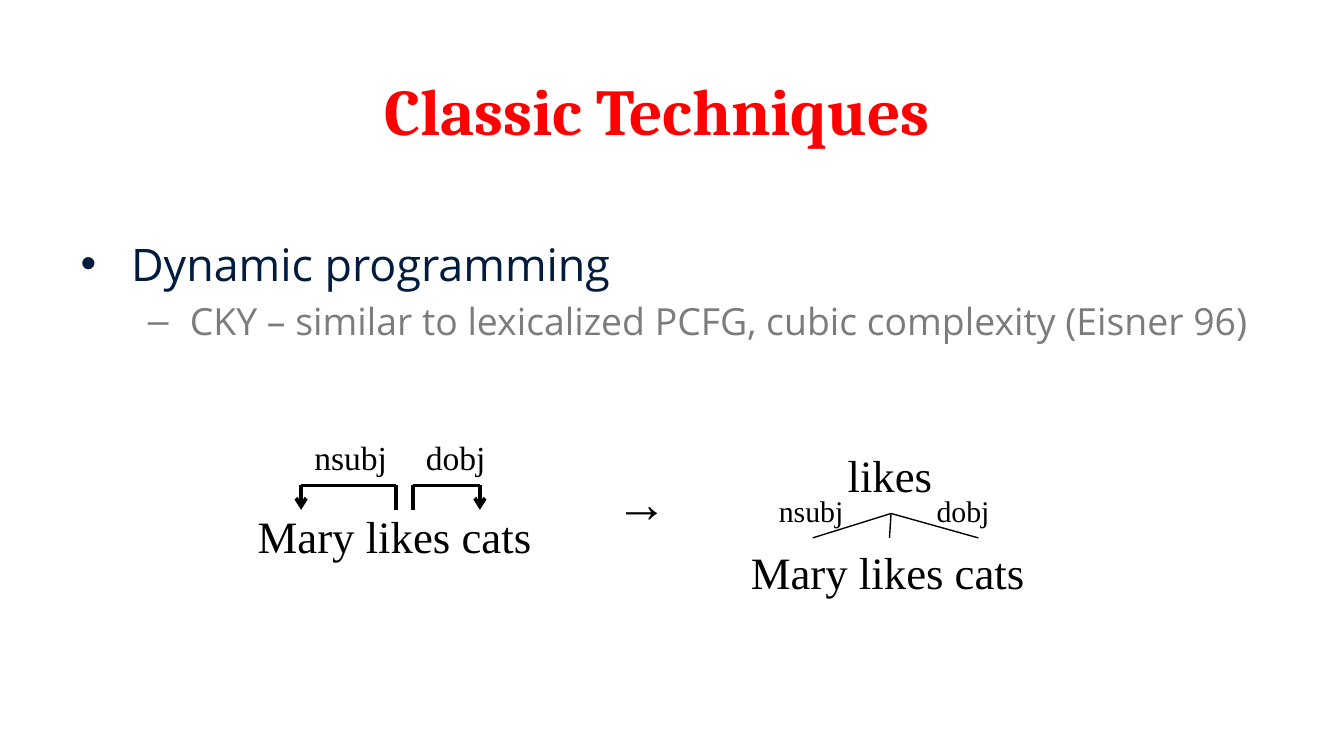
from dataclasses import dataclass

from lxml.etree import SubElement
from pptx import Presentation
from pptx.dml.color import RGBColor as RGB
from pptx.enum.shapes import MSO_CONNECTOR as Link
from pptx.enum.text import MSO_ANCHOR as Anchor, MSO_AUTO_SIZE as Fit, PP_ALIGN as Align
from pptx.oxml.ns import qn
from pptx.util import Cm, Pt


@dataclass(frozen=True)
class Theme:
    red: RGB = RGB(0xFF, 0, 0)
    navy: RGB = RGB(0x01, 0x1C, 0x3C)
    gray: RGB = RGB(0x7C, 0x7C, 0x7C)
    black: RGB = RGB(0, 0, 0)
    head: str = "Cambria"
    body: str = "Open Sans"
    serif: str = "Times New Roman"
    title: int = 35
    item: int = 24
    sub: int = 20
    word: int = 24
    arrow: int = 28
    arc: int = 18
    edge: int = 16
    thick: float = 2
    thin: float = 0.75


T = Theme()


def style(para, name, size, color, bold=False):
    font = para.font
    font.name, font.size, font.bold = name, Pt(size), bold
    font.color.rgb = color


def place(shape, box):
    shape.left, shape.top, shape.width, shape.height = map(Cm, box)


def label(shapes, text, box, size, bold=False, wrap=True):
    frame = shapes.add_textbox(*map(Cm, box)).text_frame
    frame.word_wrap = wrap
    frame.text = text
    style(frame.paragraphs[0], T.serif, size, T.black, bold)


def line(shapes, start, end, width, head=False):
    link = shapes.add_connector(Link.STRAIGHT, *map(Cm, start + end))
    link.line.color.rgb = T.black
    link.line.width = Pt(width)
    if head:
        SubElement(link.line._get_or_add_ln(), qn("a:tailEnd"), type="arrow")
    SubElement(link._element.spPr, qn("a:effectLst"))


def title(slide, box):
    shape = slide.shapes.title
    place(shape, box)
    frame = shape.text_frame
    frame.text = "Classic Techniques"
    frame.vertical_anchor, frame.auto_size = Anchor.MIDDLE, Fit.NONE
    para = frame.paragraphs[0]
    para.alignment = Align.CENTER
    style(para, T.head, T.title, T.red, bold=True)


def points(slide, box):
    shape = slide.placeholders[1]
    place(shape, box)
    frame = shape.text_frame
    frame.auto_size = Fit.NONE
    frame.text = ("Dynamic programming\n"
                  "CKY – similar to lexicalized PCFG, cubic complexity (Eisner 96)")
    item, sub = frame.paragraphs
    sub.level = 1
    style(item, T.body, T.item, T.navy)
    style(sub, T.body, T.sub, T.gray)


def arcs(slide, box):
    """Sentence with labelled arcs from the verb to its dependents."""
    x, y, wide, tall = box
    shapes = slide.shapes.add_group_shape().shapes
    label(shapes, "Mary likes cats", (x, y + 1.35, wide, tall - 1.35), T.word)
    high, low = y + 1.04, y + 1.5
    for verb, noun in ((2.87, 1.07), (3.18, 4.45)):
        a, b = x + verb, x + noun
        line(shapes, (a, low), (a, high), T.thick)
        line(shapes, (a, high), (b, high), T.thick)
        line(shapes, (b, high), (b, low), T.thick, head=True)
    for text, left, span in (("nsubj", 1.07, 1.9), ("dobj", 3.18, 1.65)):
        label(shapes, text, (x + left, y, span, 1.02), T.arc, wrap=False)


def tree(slide, box):
    """Root verb joined by edges to each word of the sentence."""
    x, y, wide, tall = box
    half = tall / 2
    shapes = slide.shapes.add_group_shape().shapes
    label(shapes, "likes", (x + 1.83, y, 2.11, half), T.word)
    label(shapes, "Mary likes cats", (x, y + half, wide, half), T.word)
    for leaf in (1.42, 2.87, 4.55):
        line(shapes, (x + leaf, y + half), (x + 2.9, y + 1.37), T.thin)
    for text, left, span in (("nsubj", 0.53, 1.75), ("dobj", 3.51, 1.52)):
        label(shapes, text, (x + left, y + 0.86, span, 0.94), T.edge, wrap=False)


def main():
    deck = Presentation()
    deck.slide_width, deck.slide_height = Cm(25.4), Cm(14.28)
    slide = deck.slides.add_slide(deck.slide_layouts[1])
    title(slide, (0.71, 1.09, 23.42, 1.96))
    points(slide, (1.27, 4.34, 22.86, 7.52))
    arcs(slide, (4.62, 8.13, 5.72, 2.62))
    label(slide.shapes, "→", (11.38, 8.76, 1.78, 1.45), T.arrow, bold=True)
    tree(slide, (13.94, 8.33, 5.72, 3.66))
    deck.save("out.pptx")


if __name__ == "__main__":
    main()
